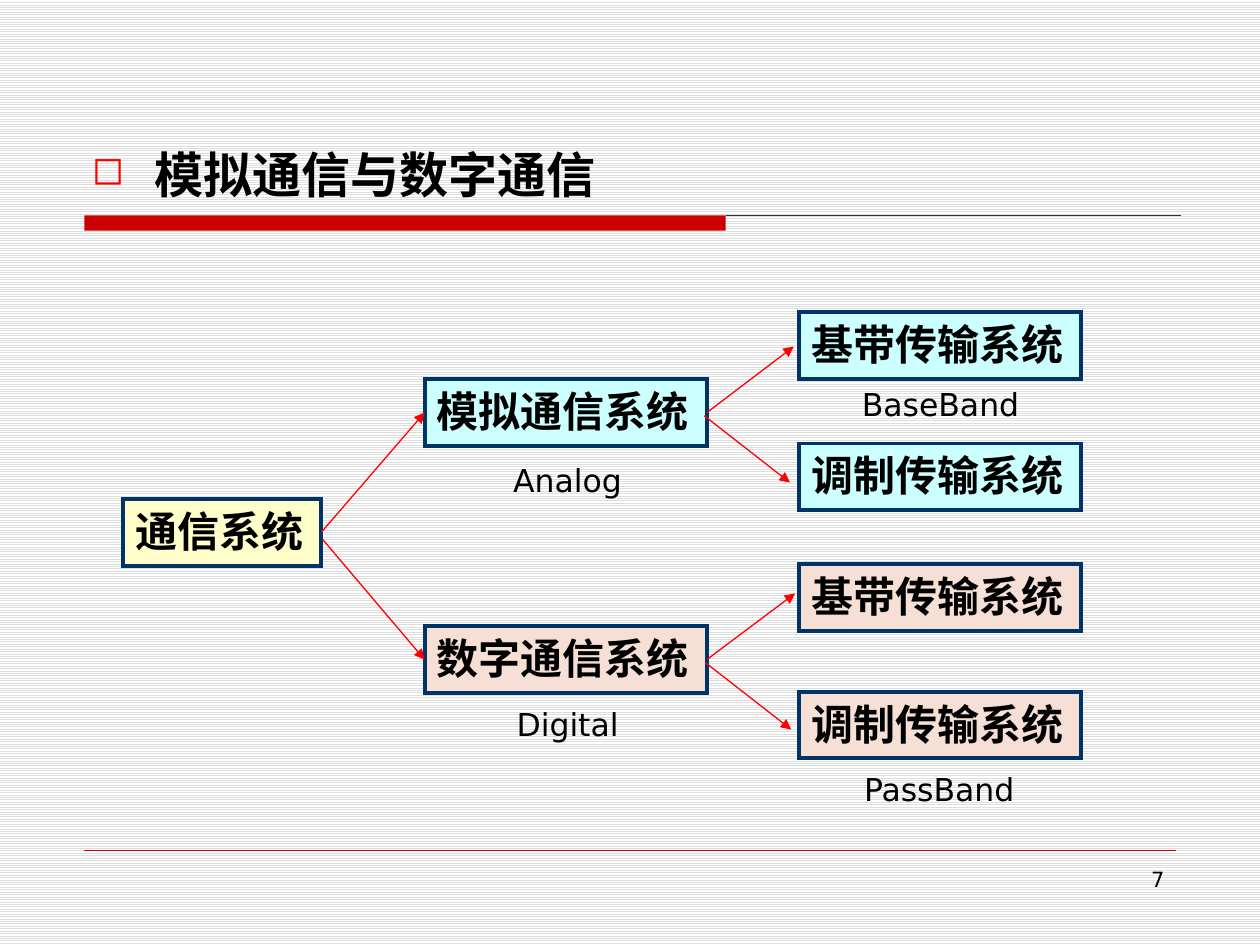
from lxml.etree import SubElement
from pptx import Presentation
from pptx.dml.color import RGBColor
from pptx.enum.dml import MSO_PATTERN
from pptx.enum.shapes import MSO_CONNECTOR, MSO_SHAPE
from pptx.enum.text import MSO_ANCHOR, PP_ALIGN
from pptx.oxml.ns import qn
from pptx.util import Inches, Pt

color = RGBColor.from_string


def write(shape, text, size, align=PP_ALIGN.LEFT, bold=False, font="DejaVu Sans"):
    paragraph = shape.text_frame.paragraphs[0]
    paragraph.text = text
    paragraph.alignment = align
    paragraph.font.size = Pt(size)
    paragraph.font.bold = bold
    paragraph.font.name = font
    paragraph.font.color.rgb = color("000000")


def draw_line(x1, y1, x2, y2, line_color, width):
    line = page.shapes.add_connector(
        MSO_CONNECTOR.STRAIGHT, Inches(x1), Inches(y1), Inches(x2), Inches(y2))
    line.line.color.rgb = color(line_color)
    line.line.width = Pt(width)
    SubElement(line._element.spPr, qn("a:effectLst"))
    return line


deck = Presentation()
deck.slide_width, deck.slide_height = Inches(10), Inches(7.5)
page = deck.slides.add_slide(deck.slide_layouts[6])

# Striped background
backdrop = page.background.fill
backdrop.patterned()
backdrop.pattern = MSO_PATTERN.LIGHT_HORIZONTAL
backdrop.fore_color.rgb = color("DDDDDD")
backdrop.back_color.rgb = color("FFFFFF")

# Title rule and footer rule
bar = page.shapes.add_shape(
    MSO_SHAPE.RECTANGLE, Inches(0.67), Inches(1.71), Inches(5.09), Inches(0.12))
bar.shadow.inherit = False
bar.fill.solid()
bar.fill.fore_color.rgb = color("CC0000")
bar.line.fill.background()
draw_line(5.76, 1.71, 9.37, 1.71, "333333", 0.75)
draw_line(0.67, 6.75, 9.33, 6.75, "CC0000", 0.25)

# Title with a square bullet
title = page.shapes.add_textbox(Inches(0.63), Inches(0.33), Inches(8.75), Inches(1.33))
title.text_frame.word_wrap = True
title.text_frame.vertical_anchor = MSO_ANCHOR.BOTTOM
properties = title.text_frame.paragraphs[0]._p.get_or_add_pPr()
properties.set("marL", str(Inches(0.5)))
properties.set("indent", str(-Inches(0.5)))
bullet_color = SubElement(properties, qn("a:buClr"))
SubElement(bullet_color, qn("a:srgbClr"), val="FF0000")
SubElement(properties, qn("a:buSzPct"), val="80000")
SubElement(properties, qn("a:buChar"), char="◻")
write(title, "模拟通信与数字通信", 28, bold=True, font="Noto Sans CJK SC")

# System boxes: key, text, left, top, width, fill
YELLOW, CYAN, PINK = "FFFFCC", "CCFFFF", "F6E0D6"
systems = [
    ("root", "通信系统", 0.98, 3.96, 1.57, YELLOW),
    ("analog", "模拟通信系统", 3.37, 3.01, 2.24, CYAN),
    ("digital", "数字通信系统", 3.37, 4.97, 2.24, PINK),
    ("analog baseband", "基带传输系统", 6.34, 2.48, 2.24, CYAN),
    ("analog passband", "调制传输系统", 6.34, 3.52, 2.24, CYAN),
    ("digital baseband", "基带传输系统", 6.34, 4.48, 2.24, PINK),
    ("digital passband", "调制传输系统", 6.34, 5.49, 2.24, PINK),
]
boxes = {}
for key, text, left, top, width, fill in systems:
    box = page.shapes.add_shape(
        MSO_SHAPE.RECTANGLE, Inches(left), Inches(top), Inches(width), Inches(0.53))
    box.shadow.inherit = False
    box.fill.solid()
    box.fill.fore_color.rgb = color(fill)
    box.line.color.rgb = color("003366")
    box.line.width = Pt(2.25)
    SubElement(box.line._get_or_add_ln(), qn("a:miter"), lim="800000")
    box.text_frame.word_wrap = False
    box.text_frame.vertical_anchor = MSO_ANCHOR.MIDDLE
    box.text_frame.margin_top = Inches(0.02)
    write(box, text, 24, bold=True)
    boxes[key] = box

# Arrows: end points, then the boxes joined at the start and the end
arrows = [
    (2.56, 4.23, 3.37, 3.27, "root", "analog"),
    (2.56, 4.28, 3.37, 5.23, None, "digital"),
    (5.62, 3.27, 6.30, 2.75, "analog", None),
    (5.59, 3.30, 6.27, 3.83, None, None),
    (5.63, 5.24, 6.31, 4.71, "digital", None),
    (5.60, 5.26, 6.28, 5.79, None, None),
]
for x1, y1, x2, y2, source, target in arrows:
    arrow = draw_line(x1, y1, x2, y2, "FF0000", 0.75)
    SubElement(arrow.line._get_or_add_ln(), qn("a:tailEnd"), type="triangle")
    if source:
        arrow.begin_connect(boxes[source], 3)
    if target:
        arrow.end_connect(boxes[target], 1)

# English labels and page number
labels = [
    ("Analog", 3.38, 3.61, 2.25, 0.4, 18, PP_ALIGN.CENTER),
    ("Digital", 3.38, 5.55, 2.25, 0.4, 18, PP_ALIGN.CENTER),
    ("BaseBand", 6.34, 3.01, 2.25, 0.4, 18, PP_ALIGN.CENTER),
    ("PassBand", 6.33, 6.06, 2.25, 0.4, 18, PP_ALIGN.CENTER),
    ("7", 7.17, 6.83, 2.17, 0.52, 12, PP_ALIGN.RIGHT),
]
for text, left, top, width, height, size, align in labels:
    label = page.shapes.add_textbox(
        Inches(left), Inches(top), Inches(width), Inches(height))
    label.text_frame.word_wrap = True
    write(label, text, size, align)

deck.save("out.pptx")
